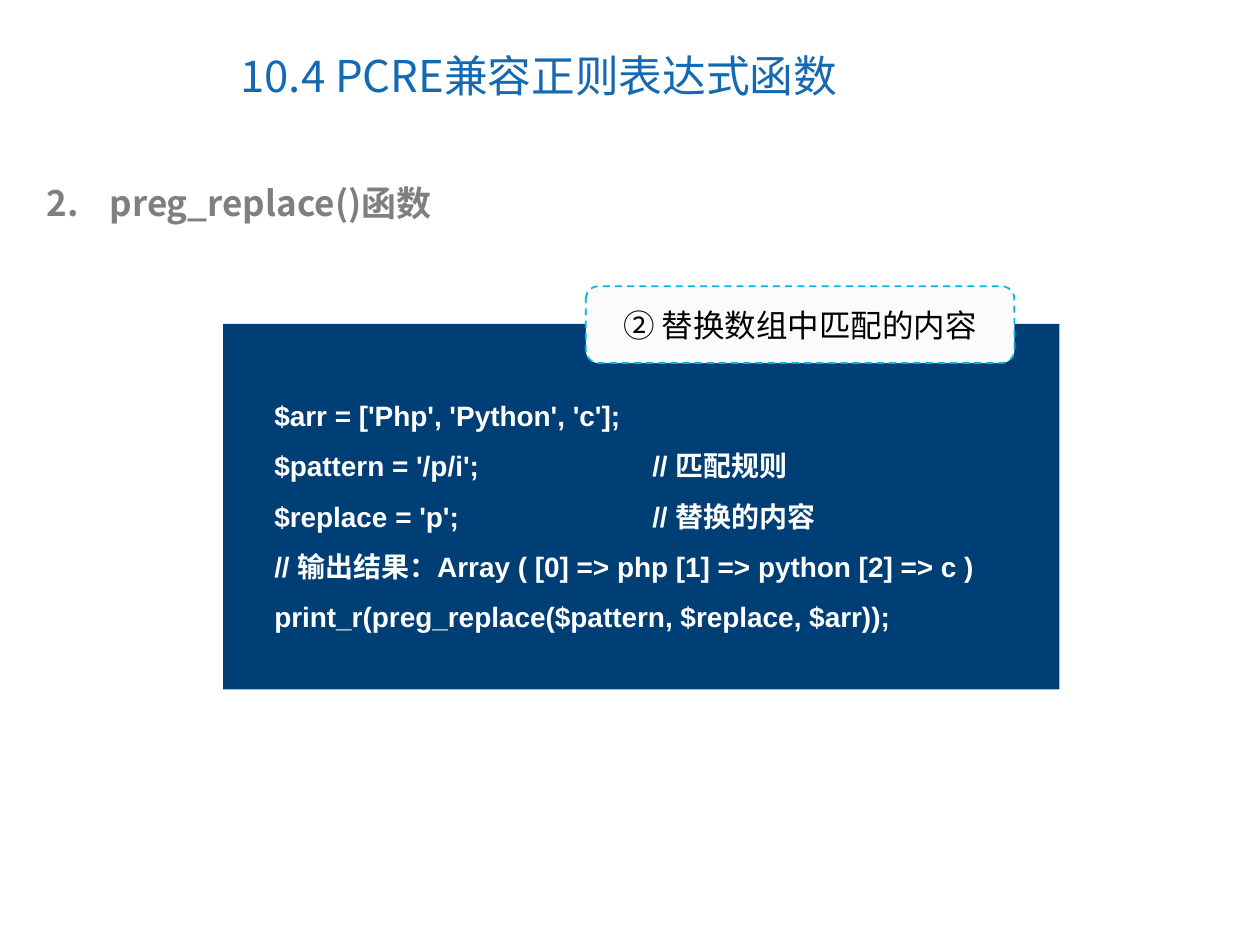
from lxml import etree
from pptx import Presentation
from pptx.dml.color import RGBColor
from pptx.enum.dml import MSO_LINE
from pptx.enum.shapes import MSO_SHAPE
from pptx.enum.text import MSO_ANCHOR, PP_ALIGN
from pptx.oxml.ns import qn
from pptx.util import Cm, Pt

RECT, ROUNDED = MSO_SHAPE.RECTANGLE, MSO_SHAPE.ROUNDED_RECTANGLE
TOP, MIDDLE = MSO_ANCHOR.TOP, MSO_ANCHOR.MIDDLE
LEFT, CENTER = PP_ALIGN.LEFT, PP_ALIGN.CENTER
DASH = MSO_LINE.DASH

COLORS = {
    "title": "1369B2", "heading": "7F7F7F", "panel": "003F75", "code": "FFFFFF",
    "callout": "FBFBFB", "border": "00B4E9", "label": "000000",
}
CJK = "Noto Sans CJK SC"

# Content
TITLE = ["10.4 PCRE兼容正则表达式函数"]
HEADING = ["preg_replace()函数"]
HEADING_NUMBER = 2
CODE = [
    "$arr = ['Php', 'Python', 'c'];",
    "$pattern = '/p/i';\t\t// 匹配规则",
    "$replace = 'p';\t\t// 替换的内容",
    "// 输出结果：Array ( [0] => php [1] => python [2] => c )",
    "print_r(preg_replace($pattern, $replace, $arr));",
]
CALLOUT = ["② 替换数组中匹配的内容"]
CODE_TABS = [Cm(5.08), Cm(7.62)]

# Text formats
FORMATS = {
    "title": {"name": CJK, "size": Pt(25), "bold": False},
    "heading": {"name": CJK, "size": Pt(20), "bold": True},
    "code": {"name": "Arial", "size": Pt(16), "bold": True},
    "label": {"name": "Arial", "size": Pt(18), "bold": False},
}

# Left, top, width, height in cm
BOXES = {
    "title": (4.6, 0.43, 13.11, 2.16),
    "heading": (0.69, 3.53, 23.42, 1.12),
    "panel": (4.5, 6.53, 16.86, 7.37),
    "code": (5.28, 7.57, 16.51, 5.33),
    "callout": (11.81, 5.77, 8.64, 1.55),
}


def place(name):
    return [Cm(v) for v in BOXES[name]]


def rgb(name):
    return RGBColor.from_string(COLORS[name])


def add_shape(slide, kind, name):
    sp = slide.shapes.add_shape(kind, *place(name))
    sp.shadow.inherit = False
    sp.fill.solid()
    sp.fill.fore_color.rgb = rgb(name)
    sp.line.fill.background()
    return sp


def write(sp, lines, style, anchor=TOP, align=LEFT, spacing=1.0):
    tf = sp.text_frame
    tf.word_wrap = True
    tf.vertical_anchor = anchor
    for i, line in enumerate(lines):
        p = tf.paragraphs[0] if i == 0 else tf.add_paragraph()
        p.alignment = align
        p.line_spacing = spacing
        r = p.add_run()
        r.text = line
        for key, value in FORMATS[style].items():
            setattr(r.font, key, value)
        r.font.color.rgb = rgb(style)
        etree.SubElement(r._r.get_or_add_rPr(), qn("a:ea"), typeface=CJK)
    return tf


def add_text(slide, name, lines, **options):
    return write(slide.shapes.add_textbox(*place(name)), lines, name, **options)


def number(p, start, indent):
    pPr = p._p.get_or_add_pPr()
    pPr.set("marL", str(indent))
    pPr.set("indent", str(-indent))
    etree.SubElement(pPr, qn("a:buFont"), typeface=CJK)
    etree.SubElement(pPr, qn("a:buAutoNum"), type="arabicPeriod", startAt=str(start))


def set_tabs(p, stops):
    tabs = etree.SubElement(p._p.get_or_add_pPr(), qn("a:tabLst"))
    for stop in stops:
        etree.SubElement(tabs, qn("a:tab"), pos=str(stop), algn="l")


prs = Presentation()
prs.slide_width, prs.slide_height = Cm(25.4), Cm(19.05)
s = prs.slides.add_slide(prs.slide_layouts[6])

# Title and numbered heading
add_text(s, "title", TITLE, anchor=MIDDLE)
tf = add_text(s, "heading", HEADING)
number(tf.paragraphs[0], HEADING_NUMBER, Cm(1.27))

# Code panel
add_shape(s, RECT, "panel")
tf = add_text(s, "code", CODE, spacing=1.5)
for p in tf.paragraphs:
    set_tabs(p, CODE_TABS)

# Callout over the panel's top edge
sp = add_shape(s, ROUNDED, "callout")
sp.line.color.rgb = rgb("border")
sp.line.width = Pt(1)
sp.line.dash_style = DASH
write(sp, CALLOUT, "label", anchor=MIDDLE, align=CENTER)

prs.save("out.pptx")
